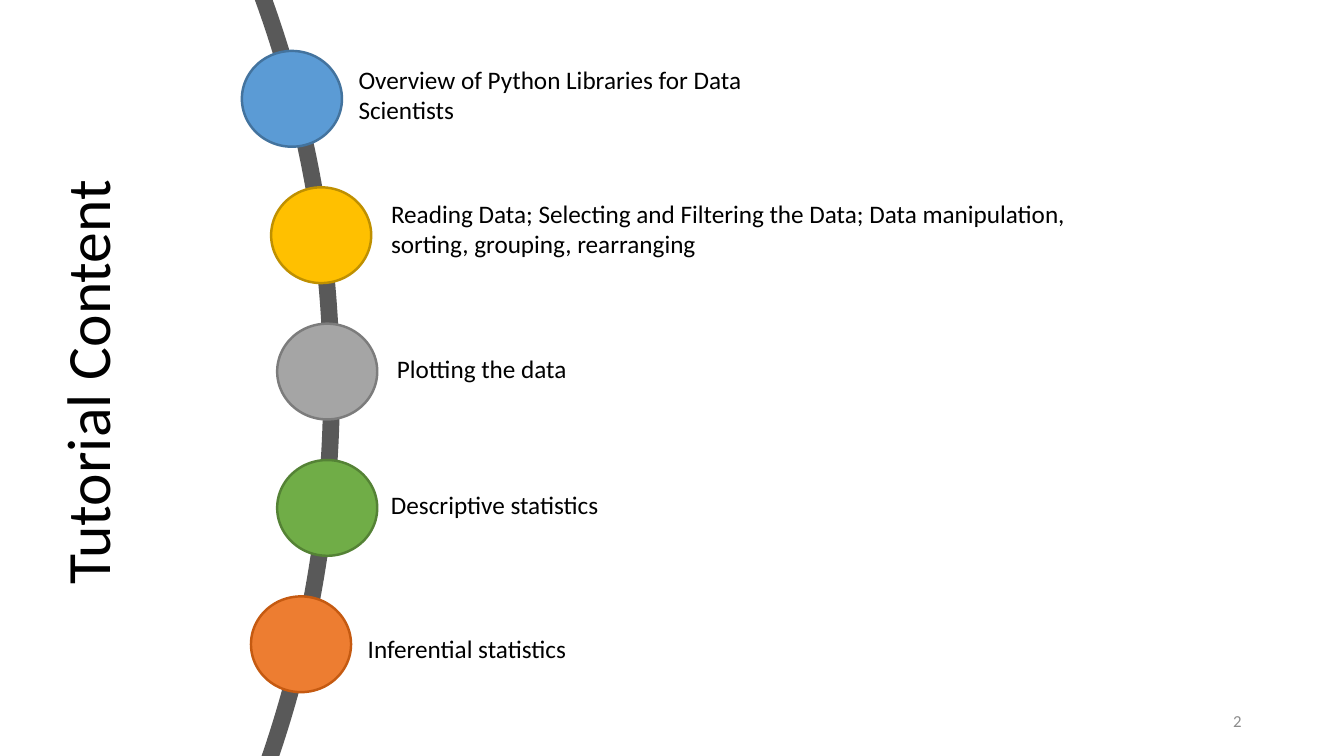
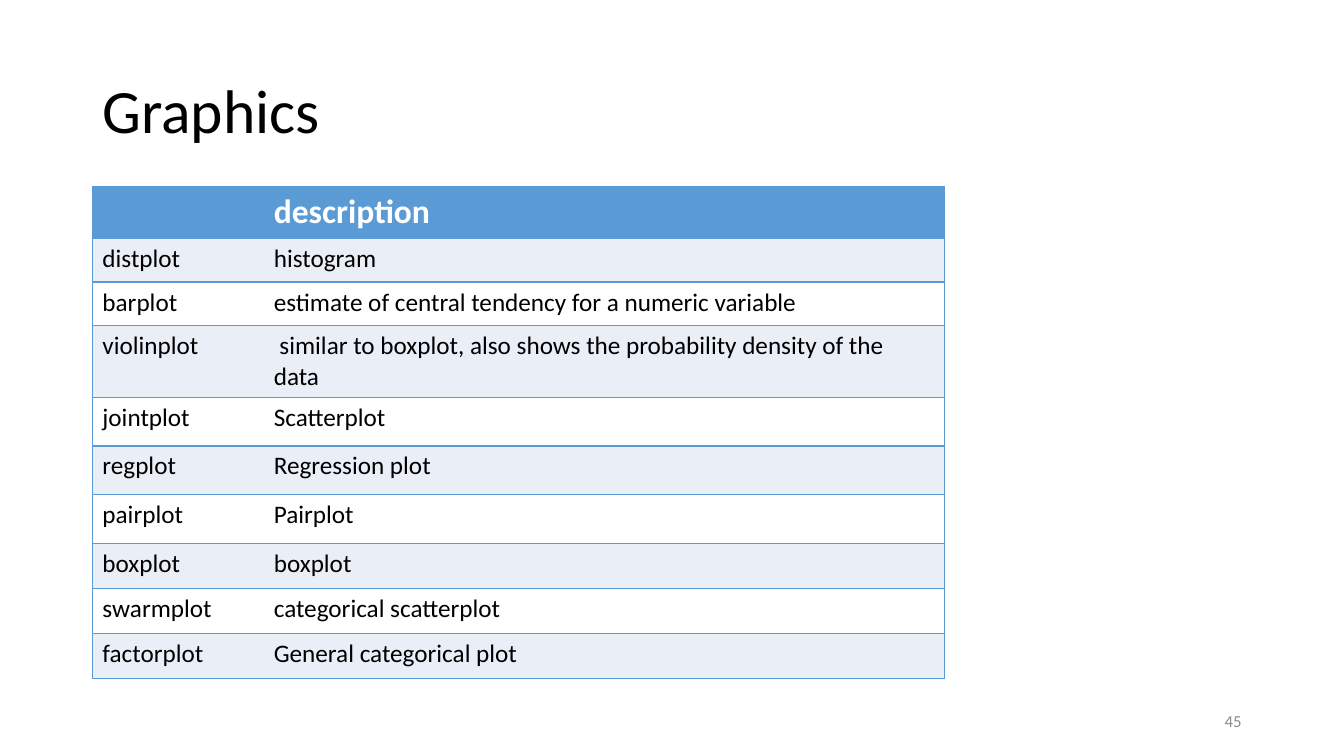
from dataclasses import dataclass

from lxml import etree
from pptx import Presentation
from pptx.dml.color import RGBColor
from pptx.enum.shapes import MSO_SHAPE
from pptx.enum.text import MSO_ANCHOR, MSO_AUTO_SIZE, PP_ALIGN
from pptx.oxml.ns import qn
from pptx.util import Pt

OVAL = MSO_SHAPE.OVAL
MIDDLE = MSO_ANCHOR.MIDDLE
LEFT, RIGHT = PP_ALIGN.LEFT, PP_ALIGN.RIGHT
GROW, FIXED = MSO_AUTO_SIZE.SHAPE_TO_FIT_TEXT, MSO_AUTO_SIZE.NONE


@dataclass(frozen=True)
class Theme:
    font: str = "Calibri"
    title: int = 44
    head: int = 24
    body: int = 18
    small: int = 12
    ink: str = "000000"
    paper: str = "FFFFFF"
    muted: str = "8C8C8C"
    curve: str = "595959"
    blue: str = "5B9BD5"
    band: str = "EAEFF7"
    # Fill and outline of each topic dot
    dots: tuple = (("5B9BD5", "43739E"), ("FFC000", "BF9000"),
                   ("A5A5A5", "7C7C7C"), ("70AD47", "548235"),
                   ("ED7D31", "C55A11"))


def color(code):
    return RGBColor.from_string(code)


def write(frame, text, font, size, ink, bold=False, align=LEFT, space=None):
    """Put one formatted paragraph into a text frame."""
    para = frame.paragraphs[0]
    para.alignment = align
    para.line_spacing = space
    run = para.add_run()
    run.text = text
    run.font.name = font
    run.font.size = Pt(size)
    run.font.bold = bold
    run.font.color.rgb = color(ink)


class Deck:
    def __init__(self, theme):
        self.theme = theme
        self.file = Presentation()
        self.file.slide_width, self.file.slide_height = Pt(960), Pt(540)
        self.slide = None

    def start(self, title, number, box, turn=0):
        """Add a slide with its title and page number."""
        look = self.theme
        self.slide = self.file.slides.add_slide(self.file.slide_layouts[5])
        head = self.slide.shapes.title
        head.left, head.top, head.width, head.height = map(Pt, box)
        head.rotation = turn
        frame = head.text_frame
        frame.vertical_anchor = MIDDLE
        frame.auto_size = FIXED
        write(frame, title, look.font, look.title, look.ink, space=0.9)
        page = self.text(number, (678, 500.5, 216, 28.75), size=look.small,
                         ink=look.muted, align=RIGHT)
        page.vertical_anchor = MIDDLE
        page.auto_size = FIXED

    def text(self, text, box, size=None, ink=None, align=LEFT):
        look = self.theme
        frame = self.slide.shapes.add_textbox(*map(Pt, box)).text_frame
        frame.word_wrap = True
        frame.auto_size = GROW
        write(frame, text, look.font, size or look.body, ink or look.ink,
              align=align)
        return frame

    def oval(self, box, line, width, fill=None):
        shape = self.slide.shapes.add_shape(OVAL, *map(Pt, box))
        shape.shadow.inherit = False
        if fill:
            shape.fill.solid()
            shape.fill.fore_color.rgb = color(fill)
        else:
            shape.fill.background()
        shape.line.color.rgb = color(line)
        shape.line.width = Pt(width)

    def edge(self, cell, side, shown):
        """Draw or clear one border of a table cell."""
        props = cell._tc.get_or_add_tcPr()
        line = etree.SubElement(props, qn("a:ln" + side), w=str(Pt(1)))
        if shown:
            fill = etree.SubElement(line, qn("a:solidFill"))
            etree.SubElement(fill, qn("a:srgbClr"), val=self.theme.blue)
        else:
            etree.SubElement(line, qn("a:noFill"))

    def table(self, rows, left, top, widths, heights):
        look = self.theme
        box = map(Pt, (left, top, sum(widths), sum(heights)))
        grid = self.slide.shapes.add_table(len(rows), len(widths), *box).table
        grid.horz_banding = False
        for col, width in zip(grid.columns, widths):
            col.width = Pt(width)
        for r, (row, height) in enumerate(zip(rows, heights)):
            grid.rows[r].height = Pt(height)
            head = r == 0
            fill = look.blue if head else look.band if r % 2 else look.paper
            for c, text in enumerate(row):
                cell = grid.cell(r, c)
                # Outer frame and row rules, no rule between columns
                self.edge(cell, "L", c == 0)
                self.edge(cell, "R", c == len(row) - 1)
                self.edge(cell, "T", True)
                self.edge(cell, "B", True)
                cell.fill.solid()
                cell.fill.fore_color.rgb = color(fill)
                if text:
                    write(cell.text_frame, text, look.font,
                          look.head if head else look.body,
                          look.paper if head else look.ink, bold=head)


theme = Theme()
deck = Deck(theme)

# Tutorial content: topics along a curve
deck.start("Tutorial Content", "2", (-154.8, 153.4, 438.5, 104.4), turn=270)
deck.oval((-1395.4, -539.3, 1632.2, 1632.2), theme.curve, 12)

# Dot left, then text left, top, width, height
topics = [
    (172.8, 249, 42.5, 330.5, 51,
     "Overview of Python Libraries for Data Scientists"),
    (193.7, 272.2, 138.2, 553.7, 51,
     "Reading Data; Selecting and Filtering the Data; "
     "Data manipulation, sorting, grouping, rearranging"),
    (198, 276.5, 249.1, 415.4, 29, "Plotting the data"),
    (198, 272.2, 345.6, 415.4, 29, "Descriptive statistics"),
    (179.3, 255.6, 448.6, 415.4, 29, "Inferential statistics"),
]
for i, (topic, (fill, line)) in enumerate(zip(topics, theme.dots)):
    left, *box, label = topic
    deck.oval((left, 36.4 + 97.4 * i, 71.5, 68.4), line, 1.75, fill)
    deck.text(label, box)

# Graphics: table of plot types
deck.start("Graphics", "45", (66, 28.75, 828, 104.4))
plots = [
    ("", "description"),
    ("distplot", "histogram"),
    ("barplot", "estimate of central tendency for a numeric variable"),
    ("violinplot", "\u00a0similar to boxplot, also shows the probability "
                   "density of the data"),
    ("jointplot", "Scatterplot"),
    ("regplot", "Regression plot"),
    ("pairplot", "Pairplot"),
    ("boxplot", "boxplot"),
    ("swarmplot", "categorical scatterplot"),
    ("factorplot", "General categorical plot"),
]
heights = [37.2] + [31.1] * 2 + [51] + [34.8] * 3 + [32.2] * 3
deck.table(plots, 66, 133.2, (122.4, 486), heights)

deck.file.save("out.pptx")
